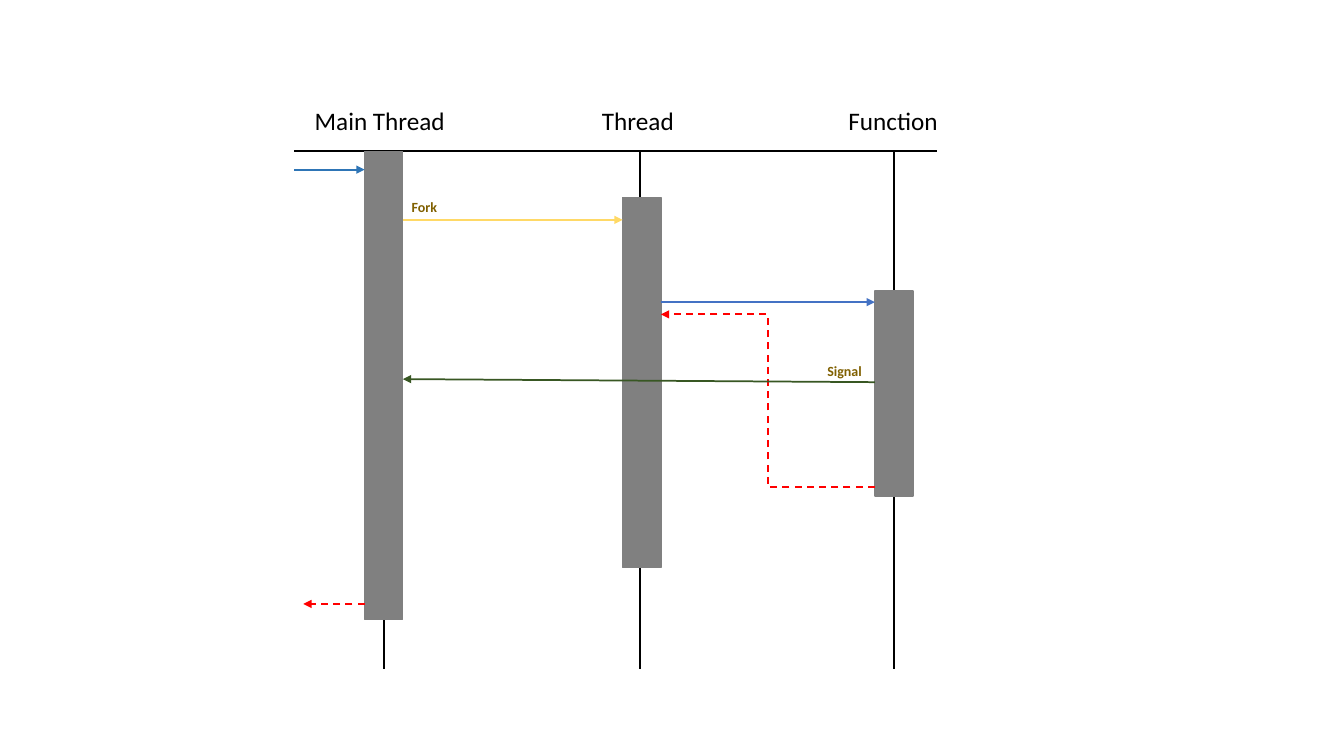
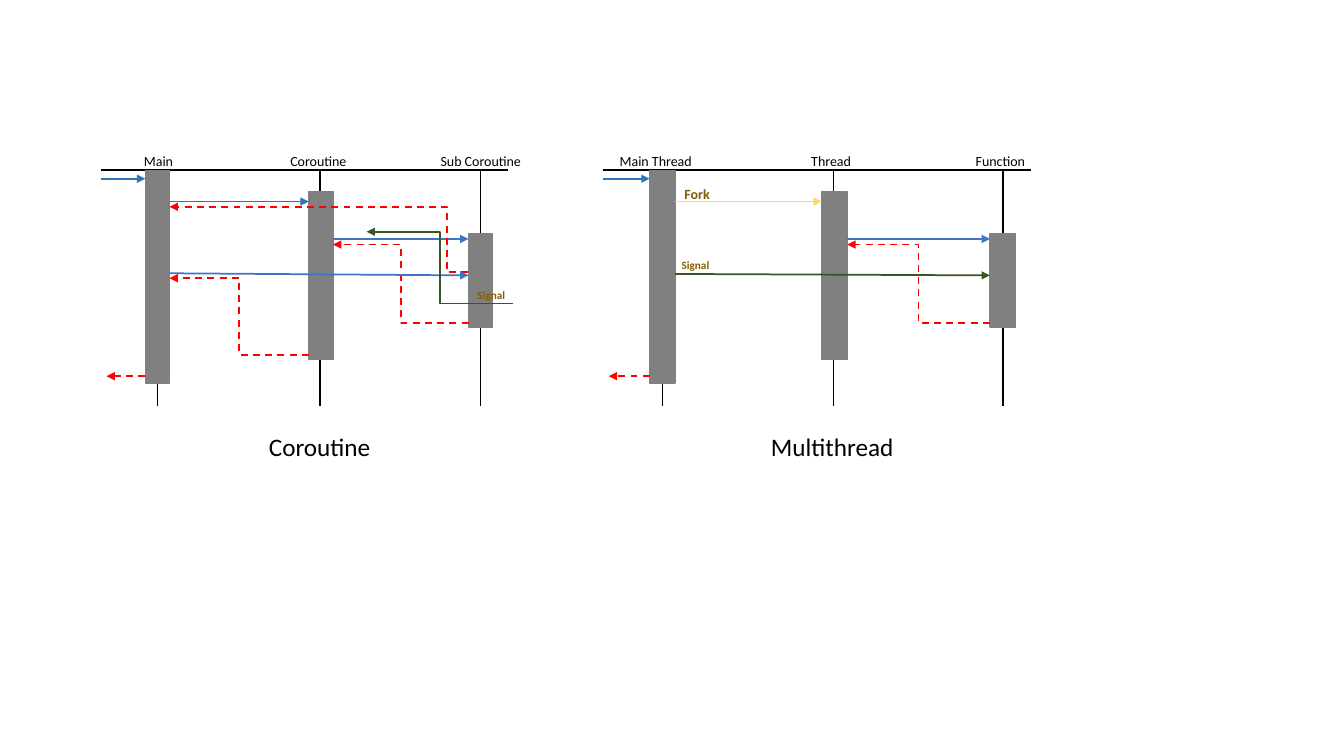
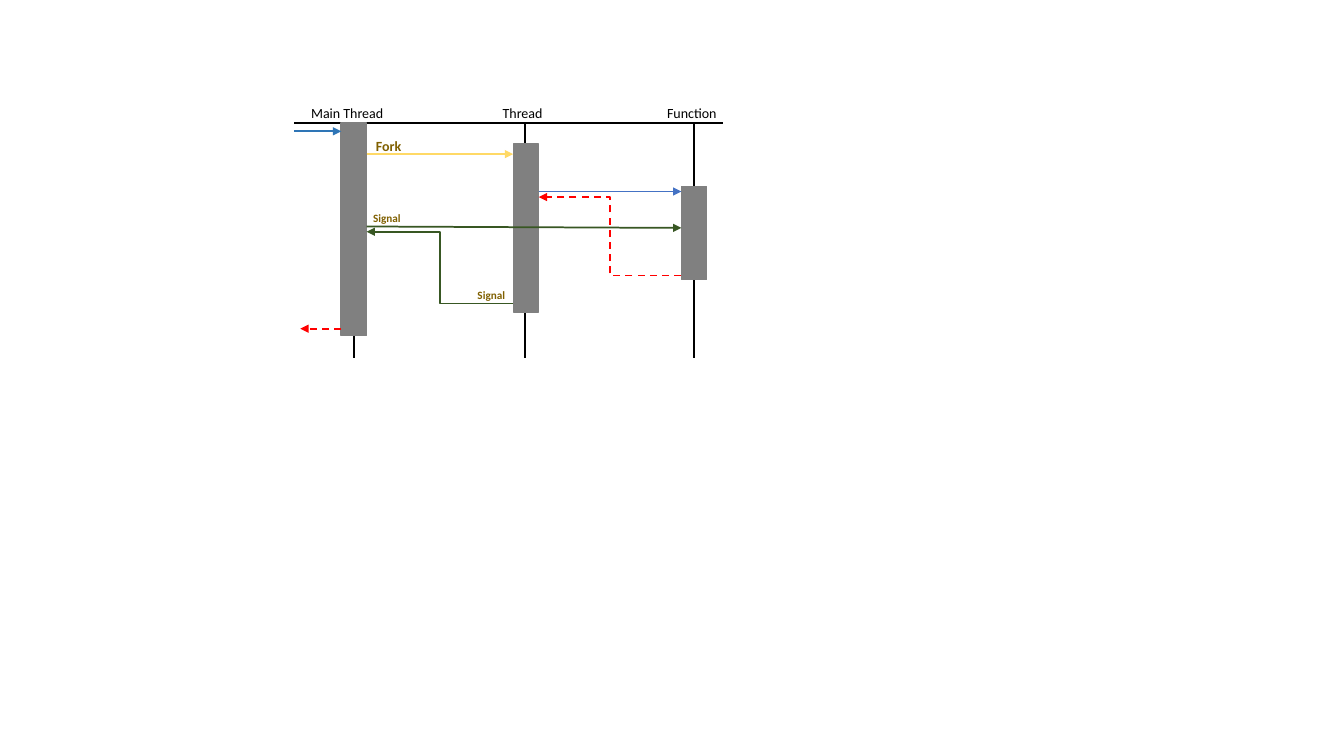
from dataclasses import dataclass

from lxml.etree import SubElement
from pptx import Presentation
from pptx.dml.color import RGBColor
from pptx.enum.dml import MSO_LINE
from pptx.enum.shapes import MSO_CONNECTOR, MSO_SHAPE
from pptx.oxml.ns import qn
from pptx.util import Pt

FONT = "Calibri"
BLACK, GREY, BROWN = "000000", "808080", "806000"
ENTRY, CALL, FORK, SIGNAL, RETURN = "2E75B6", "4472C4", "FFD966", "385723", "FF0000"
LINE_WIDTH = 1.25

# All diagrams share one grid, in points before a frame scales it.
RULE_WIDTH, LIFELINE_LENGTH = 306, 168
LIFELINE_X = [42.6, 164.7, 285.6]
BAR_WIDTH = 18.2
BARS = [(33.5, 0, 152), (156.4, 15.1, 120), (276.5, 45.4, 66.5)]  # left, top, height
OUTSIDE, ENTRY_X, EXIT_X = -1, 0, 4.3


@dataclass
class Frame:
    """Where a diagram's rule starts, and how far the grid is stretched."""
    left: float
    top: float
    scale_x: float = 1
    scale_y: float = 1

    def x(self, grid_x):
        return self.left + grid_x * self.scale_x

    def y(self, grid_y):
        return self.top + grid_y * self.scale_y


@dataclass
class Message:
    """An arrow between two lanes; bend is where an elbow turns, as a share."""
    color: str
    source: int
    target: int
    start_y: float
    end_y: float
    bend: float = None


# Headings: text, left, width. Labels: text, left, top, width, size.
THREAD_HEADINGS = [("Main Thread", 5, 75), ("Thread", 141.8, 44.8), ("Function", 259.2, 52.8)]
COROUTINE_HEADINGS = [("Main", 25, 39.4), ("Coroutine", 135, 60.6), ("Sub Coroutine", 248, 80.3)]

COMMON_MESSAGES = [
    Message(ENTRY, OUTSIDE, 0, 6, 6),
    Message(CALL, 1, 2, 49, 49),
    Message(RETURN, 2, 1, 109, 53, 0.5),
    Message(RETURN, 0, OUTSIDE, 147, 147),
]
FORK_MESSAGE = Message(FORK, 0, 1, 22.3, 22.3)
SIGNAL_BACK = [FORK_MESSAGE, Message(SIGNAL, 2, 0, 75, 74)]
SIGNAL_FORWARD = [FORK_MESSAGE, Message(SIGNAL, 0, 2, 74, 75)]
COROUTINE_MESSAGES = [
    Message(ENTRY, 0, 1, 22.3, 22.3),
    Message(RETURN, 2, 0, 72.7, 26, 0.072),
    Message(CALL, 0, 2, 73.5, 75),
    Message(RETURN, 1, 0, 131.8, 77, 0.5),
]
THREAD_SIGNAL = [Message(SIGNAL, 1, 0, 129, 77.8, 0.5)]

SIGNAL_BACK_LABELS = [("Fork", 51.2, 13.7, 44, 10), ("Signal", 249.1, 67.1, 44, 10)]
SIGNAL_FORWARD_LABELS = [("Fork", 51.2, 7.2, 34, 10), ("Signal", 49.2, 59.4, 39, 8)]
THREAD_SIGNAL_LABELS = [("Signal", 123.8, 114.5, 39, 8)]

CAPTIONS = [("Coroutine", 185, 88), ("Multithread", 543.6, 111)]  # text, left, width
CAPTION_TOP = 304.6

LARGE = Frame(210.2, 108, 1.5, 2.2)
LEFT_HALF = Frame(72, 121.7, 0.95)
RIGHT_HALF = Frame(430.6, 121.7)
SMALL = Frame(210.2, 87.8)


def rgb(color):
    return RGBColor.from_string(color)


def add_text(slide, text, left, top, width, size, color=BLACK, bold=False):
    box = slide.shapes.add_textbox(Pt(left), Pt(top), Pt(width), Pt(1.2 * size + 7.2))
    box.text_frame.word_wrap = True
    run = box.text_frame.paragraphs[0].add_run()
    run.text = text
    run.font.name, run.font.size, run.font.bold = FONT, Pt(size), bold
    run.font.color.rgb = rgb(color)


def add_line(slide, start, end, color=BLACK, bend=None, arrow=False):
    kind = MSO_CONNECTOR.STRAIGHT if bend is None else MSO_CONNECTOR.ELBOW
    line = slide.shapes.add_connector(kind, *(Pt(v) for v in (*start, *end)))
    line.line.color.rgb = rgb(color)
    line.line.width = Pt(LINE_WIDTH)
    if color == RETURN:
        line.line.dash_style = MSO_LINE.DASH
    properties = line._element.spPr
    if arrow:
        SubElement(properties.find(qn("a:ln")), qn("a:tailEnd"), type="triangle")
    if bend is not None:
        adjustments = properties.find(qn("a:prstGeom")).find(qn("a:avLst"))
        SubElement(adjustments, qn("a:gd"), name="adj1", fmla=f"val {round(bend * 100000)}")
    SubElement(properties, qn("a:effectLst"))


def add_message(slide, frame, message):
    if message.target > message.source:
        start_x = ENTRY_X if message.source == OUTSIDE else BARS[message.source][0] + BAR_WIDTH
        end_x = BARS[message.target][0]
    else:
        start_x = BARS[message.source][0]
        end_x = EXIT_X if message.target == OUTSIDE else BARS[message.target][0] + BAR_WIDTH
    add_line(slide, (frame.x(start_x), frame.y(message.start_y)),
             (frame.x(end_x), frame.y(message.end_y)), message.color, message.bend, arrow=True)


def add_exchange(slide, frame, messages, labels):
    """Draw the arrows of a diagram and the words beside them."""
    for message in messages:
        add_message(slide, frame, message)
    for text, left, top, width, size in labels:
        add_text(slide, text, frame.x(left), frame.y(top), width, size, BROWN, bold=True)


def add_diagram(slide, frame, headings, messages, labels=(), heading_size=10, heading_rise=16.6):
    add_line(slide, (frame.left, frame.top), (frame.x(RULE_WIDTH), frame.top))
    for lane_x in LIFELINE_X:
        add_line(slide, (frame.x(lane_x), frame.top), (frame.x(lane_x), frame.y(LIFELINE_LENGTH)))
    for left, top, height in BARS:
        bar = slide.shapes.add_shape(
            MSO_SHAPE.RECTANGLE, Pt(frame.x(left)), Pt(frame.y(top)),
            Pt(BAR_WIDTH * frame.scale_x), Pt(height * frame.scale_y))
        bar.shadow.inherit = False
        bar.fill.solid()
        bar.fill.fore_color.rgb = bar.line.color.rgb = rgb(GREY)
        bar.line.width = Pt(1)
    for text, left, width in headings:
        add_text(slide, text, frame.x(left), frame.top - heading_rise,
                 width * frame.scale_x, heading_size)
    add_exchange(slide, frame, COMMON_MESSAGES + messages, labels)


def main():
    deck = Presentation()
    deck.slide_width, deck.slide_height = Pt(960), Pt(540)
    blank = deck.slide_layouts[6]
    signal_back, comparison, signal_forward = (deck.slides.add_slide(blank) for _ in range(3))

    add_diagram(signal_back, LARGE, THREAD_HEADINGS, SIGNAL_BACK, SIGNAL_BACK_LABELS,
                heading_size=18, heading_rise=36.5)

    add_diagram(comparison, LEFT_HALF, COROUTINE_HEADINGS, COROUTINE_MESSAGES)
    for text, left, width in CAPTIONS:
        add_text(comparison, text, left, CAPTION_TOP, width, 18)
    add_diagram(comparison, RIGHT_HALF, THREAD_HEADINGS, SIGNAL_FORWARD, SIGNAL_FORWARD_LABELS)

    add_diagram(signal_forward, SMALL, THREAD_HEADINGS, SIGNAL_FORWARD, SIGNAL_FORWARD_LABELS)
    for slide in (comparison, signal_forward):
        add_exchange(slide, SMALL, THREAD_SIGNAL, THREAD_SIGNAL_LABELS)

    deck.save("out.pptx")


if __name__ == "__main__":
    main()
